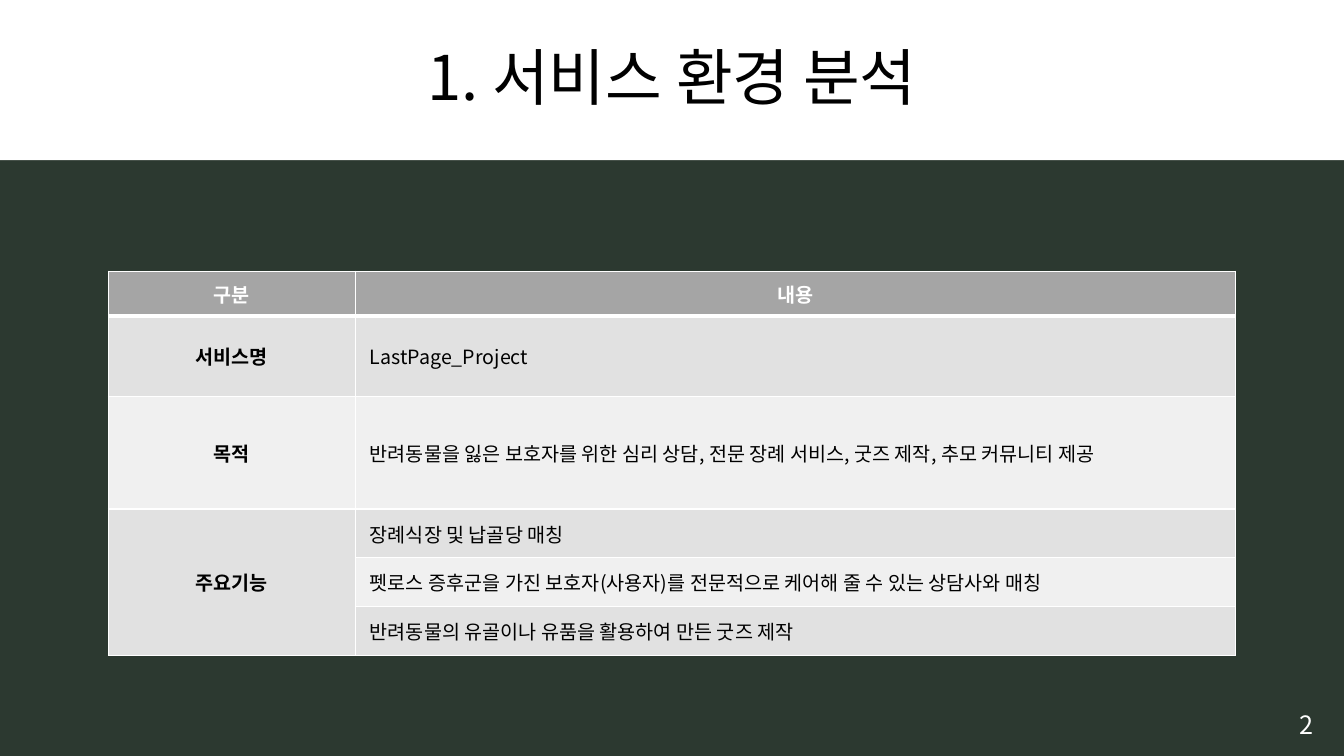
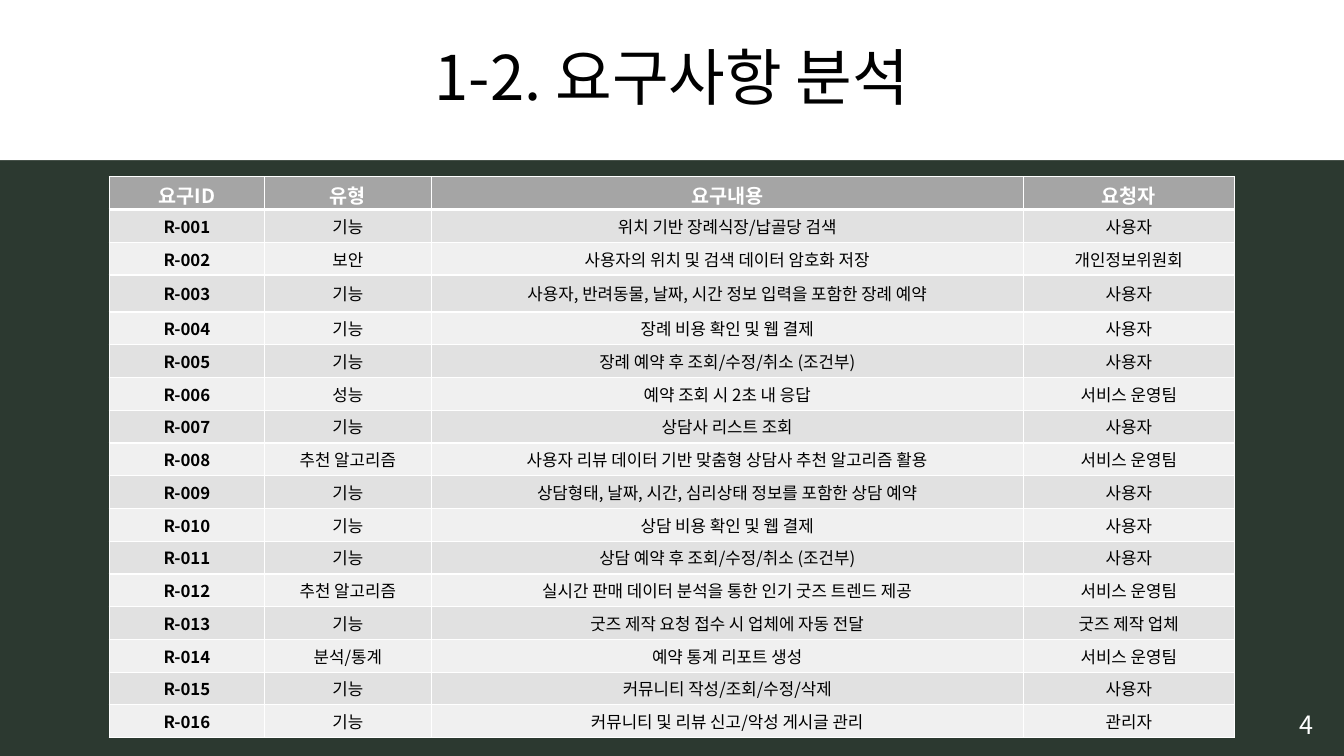
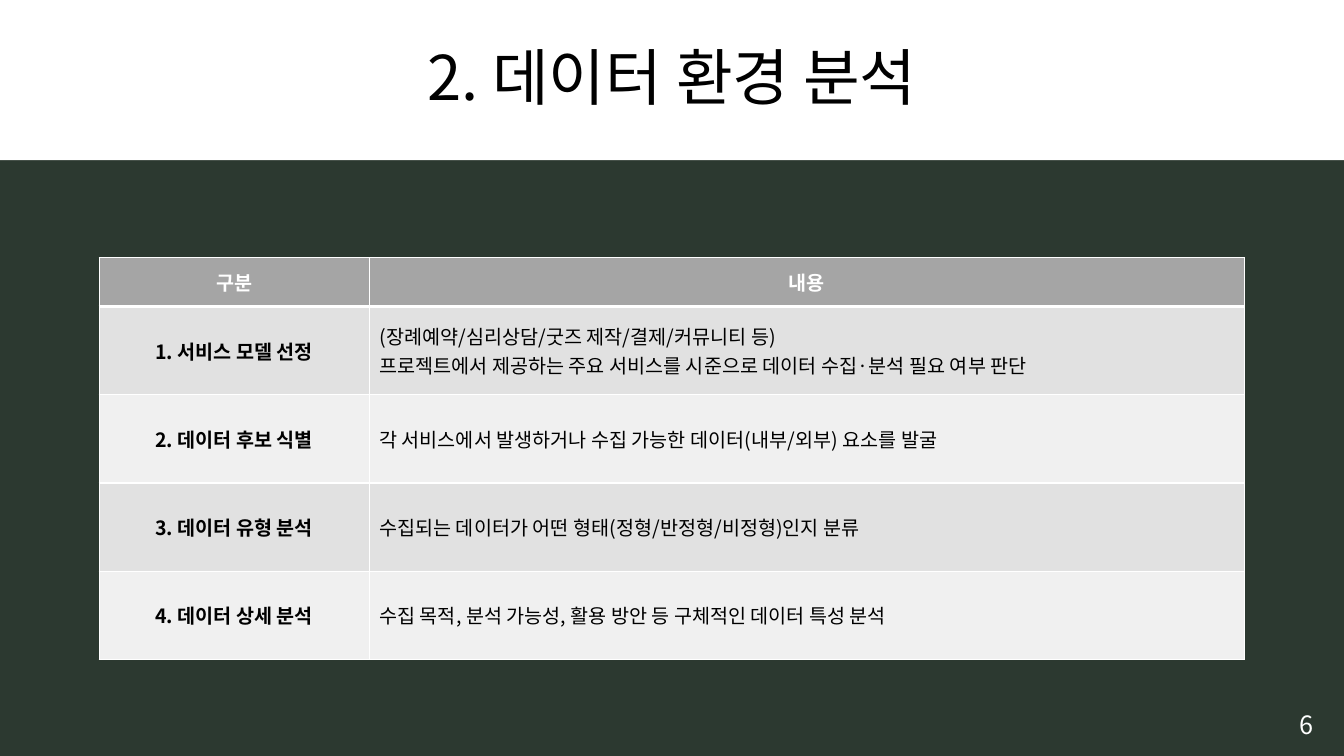
"""Build the service and data environment analysis slides."""
from lxml.etree import SubElement
from pptx import Presentation
from pptx.dml.color import RGBColor
from pptx.enum.shapes import MSO_SHAPE
from pptx.enum.text import MSO_ANCHOR, PP_ALIGN
from pptx.oxml.ns import qn
from pptx.util import Pt

GREEN = RGBColor(0x2C, 0x39, 0x30)
WHITE = RGBColor(0xFF, 0xFF, 0xFF)
BLACK = RGBColor(0x00, 0x00, 0x00)
HEADER = RGBColor(0xA5, 0xA5, 0xA5)
BANDS = (RGBColor(0xF0, 0xF0, 0xF0), RGBColor(0xE1, 0xE1, 0xE1))
FONT = "Noto Sans CJK KR"
WIDTH, HEIGHT = 960, 540

SERVICE = [
    ("구분", "내용"),
    ("서비스명", "LastPage_Project"),
    ("목적", "반려동물을 잃은 보호자를 위한 심리 상담, 전문 장례 서비스, 굿즈 제작, 추모 커뮤니티 제공"),
    ("주요기능", "장례식장 및 납골당 매칭"),
    ("", "펫로스 증후군을 가진 보호자(사용자)를 전문적으로 케어해 줄 수 있는 상담사와 매칭"),
    ("", "반려동물의 유골이나 유품을 활용하여 만든 굿즈 제작"),
]
REQUIREMENTS = [
    ("기능", "위치 기반 장례식장/납골당 검색", "사용자"),
    ("보안", "사용자의 위치 및 검색 데이터 암호화 저장", "개인정보위원회"),
    ("기능", "사용자, 반려동물, 날짜, 시간 정보 입력을 포함한 장례 예약", "사용자"),
    ("기능", "장례 비용 확인 및 웹 결제", "사용자"),
    ("기능", "장례 예약 후 조회/수정/취소 (조건부)", "사용자"),
    ("성능", "예약 조회 시 2초 내 응답", "서비스 운영팀"),
    ("기능", "상담사 리스트 조회", "사용자"),
    ("추천 알고리즘", "사용자 리뷰 데이터 기반 맞춤형 상담사 추천 알고리즘 활용", "서비스 운영팀"),
    ("기능", "상담형태, 날짜, 시간, 심리상태 정보를 포함한 상담 예약", "사용자"),
    ("기능", "상담 비용 확인 및 웹 결제", "사용자"),
    ("기능", "상담 예약 후 조회/수정/취소 (조건부)", "사용자"),
    ("추천 알고리즘", "실시간 판매 데이터 분석을 통한 인기 굿즈 트렌드 제공", "서비스 운영팀"),
    ("기능", "굿즈 제작 요청 접수 시 업체에 자동 전달", "굿즈 제작 업체"),
    ("분석/통계", "예약 통계 리포트 생성", "서비스 운영팀"),
    ("기능", "커뮤니티 작성/조회/수정/삭제", "사용자"),
    ("기능", "커뮤니티 및 리뷰 신고/악성 게시글 관리", "관리자"),
]
DATA = [
    ("구분", "내용"),
    ("1. 서비스 모델 선정", "(장례예약/심리상담/굿즈 제작/결제/커뮤니티 등)\n"
     "프로젝트에서 제공하는 주요 서비스를 시준으로 데이터 수집·분석 필요 여부 판단"),
    ("2. 데이터 후보 식별", "각 서비스에서 발생하거나 수집 가능한 데이터(내부/외부) 요소를 발굴"),
    ("3. 데이터 유형 분석", "수집되는 데이터가 어떤 형태(정형/반정형/비정형)인지 분류"),
    ("4. 데이터 상세 분석", "수집 목적, 분석 가능성, 활용 방안 등 구체적인 데이터 특성 분석"),
]


def add_text(tf, text, size, color, bold=False, align=PP_ALIGN.CENTER):
    """Write each line of text as a paragraph with one run."""
    for i, line in enumerate(text.split("\n")):
        p = tf.add_paragraph() if i else tf.paragraphs[0]
        p.alignment = align
        r = p.add_run()
        r.text = line
        r.font.size = Pt(size)
        r.font.bold = bold
        r.font.color.rgb = color
        r.font.name = FONT
        SubElement(r.font._element, qn("a:ea"), typeface=FONT)


def add_page(prs, title, number):
    """Add a slide with its title band and page number."""
    s = prs.slides.add_slide(prs.slide_layouts[6])
    sp = s.shapes.add_shape(MSO_SHAPE.RECTANGLE, 0, 0, Pt(WIDTH), Pt(114.5))
    sp.shadow.inherit = False
    sp.fill.solid()
    sp.fill.fore_color.rgb = WHITE
    sp.line.fill.background()
    sp.text_frame.vertical_anchor = MSO_ANCHOR.MIDDLE
    add_text(sp.text_frame, title, 44, BLACK)
    sp.text_frame.paragraphs[0].line_spacing = 0.9
    tf = s.shapes.add_textbox(Pt(906.5), Pt(503.3), Pt(53.5), Pt(29)).text_frame
    tf.word_wrap = True
    add_text(tf, str(number), 18, WHITE)
    return s


def set_borders(cell, top, bottom):
    """Draw white cell borders, with the given top and bottom widths."""
    tc_pr = cell._tc.get_or_add_tcPr()
    for side, width in (("L", 1), ("R", 1), ("T", top), ("B", bottom)):
        ln = SubElement(tc_pr, qn(f"a:ln{side}"), w=str(Pt(width)))
        fill = SubElement(ln, qn("a:solidFill"))
        SubElement(fill, qn("a:srgbClr"), val=str(WHITE))


def add_grid(s, rows, left, top, widths, heights, size=14,
             body_align=PP_ALIGN.LEFT, inset=7.2, pad=3.6, header_bottom=3.6):
    """Add a banded table with a grey header and bold first column."""
    table = s.shapes.add_table(len(rows), len(widths), Pt(left), Pt(top),
                               Pt(sum(widths)), Pt(sum(heights))).table
    table.first_row = table.horz_banding = False
    for column, width in zip(table.columns, widths):
        column.width = Pt(width)
    for i, (row, height) in enumerate(zip(rows, heights)):
        table.rows[i].height = Pt(height)
        for j, text in enumerate(row):
            header, label = i == 0, j == 0
            cell = table.cell(i, j)
            set_borders(cell, 3 if i == 1 else 1, 3 if header else 1)
            cell.fill.solid()
            cell.fill.fore_color.rgb = HEADER if header else BANDS[i % 2]
            cell.vertical_anchor = MSO_ANCHOR.MIDDLE
            cell.margin_top = Pt(pad)
            cell.margin_bottom = Pt(header_bottom if header else pad)
            if not (header or label):
                cell.margin_left = Pt(inset)
            if text:
                add_text(cell.text_frame, text, 14 if header else size,
                         WHITE if header else BLACK, header or label,
                         PP_ALIGN.CENTER if header or label else body_align)
    return table


def main():
    """Build and save the presentation."""
    prs = Presentation()
    prs.slide_width, prs.slide_height = Pt(WIDTH), Pt(HEIGHT)
    fill = prs.slide_master.background.fill
    fill.solid()
    fill.fore_color.rgb = GREEN

    s = add_page(prs, "1. 서비스 환경 분석", 2)
    table = add_grid(s, SERVICE, 77.5, 193.7, (176.4, 628.6),
                     (32.2, 57.4, 80.4) + (34.8,) * 3, inset=10.3)
    table.cell(3, 0).merge(table.cell(5, 0))

    s = add_page(prs, "1-2. 요구사항 분석", 4)
    rows = [("요구ID", "유형", "요구내용", "요청자")]
    rows += [(f"R-{n:03}", *row) for n, row in enumerate(REQUIREMENTS, 1)]
    heights = [26.4 if i == 3 else 23.4 for i in range(len(rows))]
    add_grid(s, rows, 78, 126.3, (111, 119, 423, 150.7), heights, size=12,
             body_align=PP_ALIGN.CENTER, pad=2.5, header_bottom=0)

    s = add_page(prs, "2. 데이터 환경 분석", 6)
    add_grid(s, DATA, 70.8, 184, (193, 625), (35,) + (63,) * 4)

    prs.save("out.pptx")


if __name__ == "__main__":
    main()
